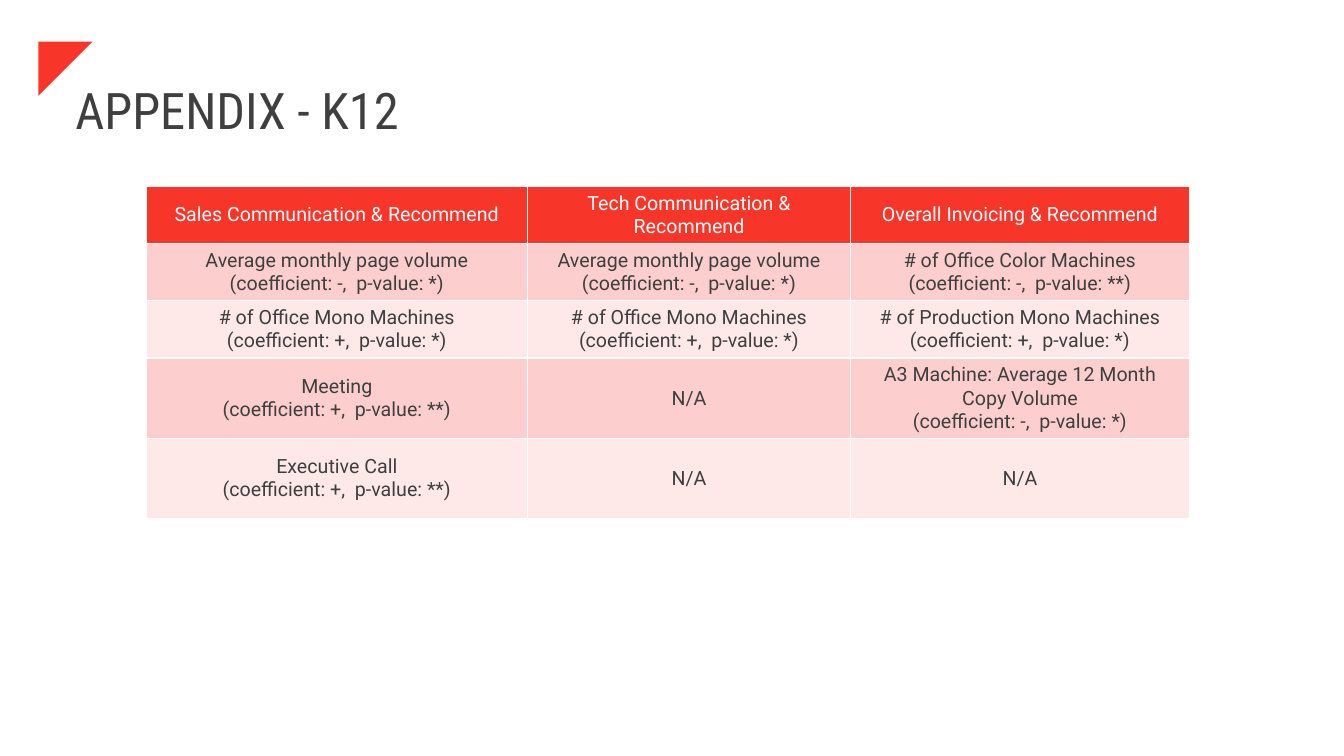
from lxml import etree
from pptx import Presentation
from pptx import util as u
from pptx.dml import color
from pptx.enum import text
from pptx.oxml import ns

RED, DARK, WHITE = "F83529", "3F3F3F", "FFFFFF"
BANDS = ["FCCECD", "FEE8E8"]


def rgb(value):
    return color.RGBColor.from_string(value)


def write(frame, content, font="Roboto", size=14, ink=DARK,
          align=text.PP_ALIGN.CENTER, spacing=None):
    for index, line in enumerate(content.split("\n")):
        para = frame.add_paragraph() if index else frame.paragraphs[0]
        para.alignment = align
        if spacing:
            para.line_spacing = spacing
        span = para.add_run()
        span.text = line
        span.font.name = font
        span.font.size = u.Pt(size)
        span.font.color.rgb = rgb(ink)


class Painter:
    def __init__(self, page):
        self.page = page

    def corner(self, left, top, side, fill):
        builder = self.page.shapes.build_freeform(u.Cm(left), u.Cm(top))
        builder.add_line_segments([
            (u.Cm(left + side), u.Cm(top)),
            (u.Cm(left), u.Cm(top + side)),
        ])
        shape = builder.convert_to_shape()
        shape.shadow.inherit = False
        shape.fill.solid()
        shape.fill.fore_color.rgb = rgb(fill)
        shape.line.fill.background()

    def title(self, content, left, top, width, height):
        box = self.page.shapes.add_textbox(
            u.Cm(left), u.Cm(top), u.Cm(width), u.Cm(height))
        frame = box.text_frame
        frame.word_wrap = True
        frame.vertical_anchor = text.MSO_ANCHOR.MIDDLE
        write(frame, content, font="Roboto Condensed", size=36,
              align=text.PP_ALIGN.LEFT, spacing=0.9)

    def borders(self, cell, ink, width):
        properties = cell._tc.get_or_add_tcPr()
        for side in ("lnL", "lnR", "lnT", "lnB"):
            line = etree.SubElement(properties, ns.qn(f"a:{side}"), w=str(u.Pt(width)))
            fill = etree.SubElement(line, ns.qn("a:solidFill"))
            etree.SubElement(fill, ns.qn("a:srgbClr"), val=ink)

    def table(self, rows, left, top, widths, heights):
        table = self.page.shapes.add_table(
            len(rows), len(widths), u.Cm(left), u.Cm(top),
            u.Cm(sum(widths)), u.Cm(sum(heights))).table
        for column, width in zip(table.columns, widths):
            column.width = u.Cm(width)
        for index, (row, height) in enumerate(zip(rows, heights)):
            table.rows[index].height = u.Cm(height)
            for cell, content in zip(table.rows[index].cells, row):
                self.borders(cell, WHITE, 1)
                cell.fill.solid()
                cell.fill.fore_color.rgb = rgb(BANDS[(index - 1) % 2] if index else RED)
                cell.vertical_anchor = text.MSO_ANCHOR.MIDDLE
                write(cell.text_frame, content, ink=DARK if index else WHITE)


def factor(name, sign, stars):
    return f"{name}\n(coefficient: {sign},  p-value: {stars})"


def main():
    deck = Presentation()
    deck.slide_width, deck.slide_height = u.Cm(33.87), u.Cm(19.05)
    painter = Painter(deck.slides.add_slide(deck.slide_layouts[6]))
    painter.corner(0.97, 1.05, 1.36, RED)
    painter.title("APPENDIX - K12", 1.65, 1.02, 29.21, 3.68)
    volume = factor("Average monthly page volume", "-", "*")
    mono = factor("# of Office Mono Machines", "+", "*")
    rows = [
        ["Sales Communication & Recommend", "Tech Communication & Recommend",
         "Overall Invoicing & Recommend"],
        [volume, volume, factor("# of Office Color Machines", "-", "**")],
        [mono, mono, factor("# of Production Mono Machines", "+", "*")],
        [factor("Meeting", "+", "**"), "N/A",
         factor("A3 Machine: Average 12 Month Copy Volume", "-", "*")],
        [factor("Executive Call", "+", "**"), "N/A", "N/A"],
    ]
    painter.table(rows, 3.69, 4.7, [9.6, 8.15, 8.53], [1.04] * 3 + [2.01] * 2)
    deck.save("out.pptx")


if __name__ == "__main__":
    main()
